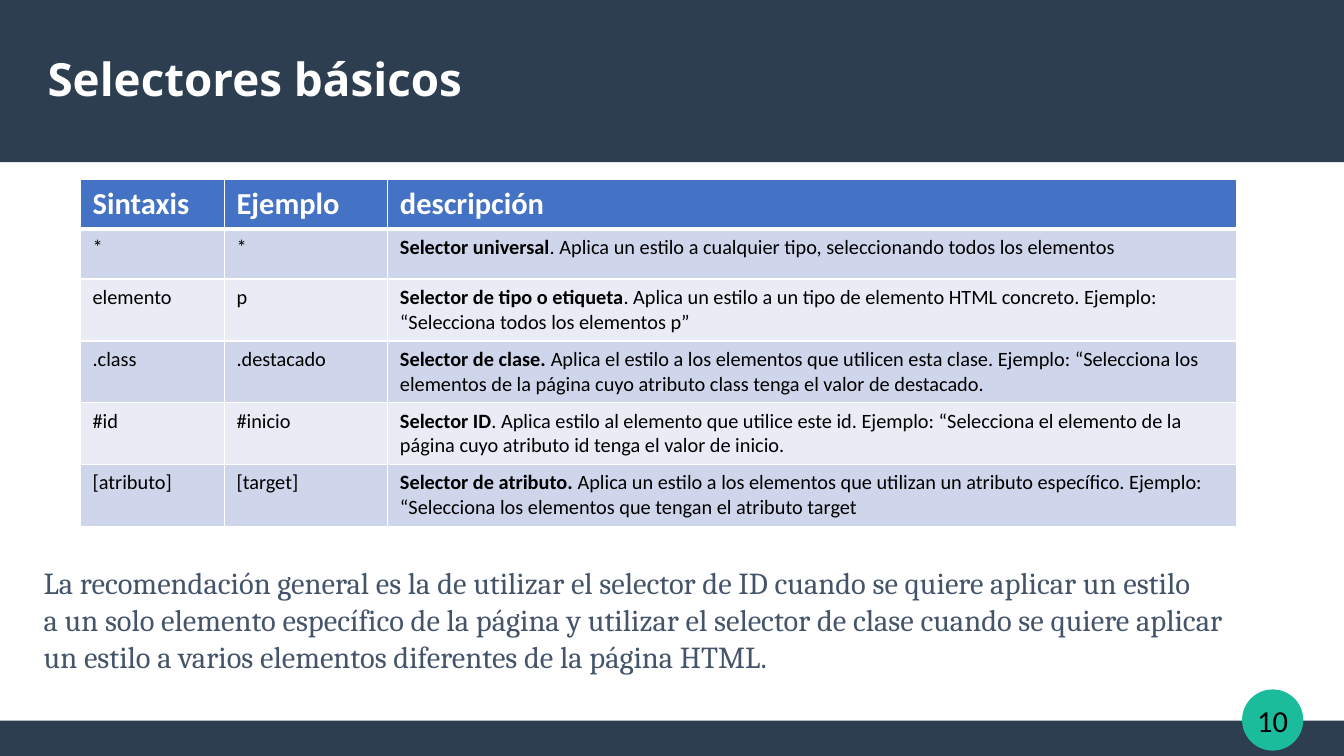
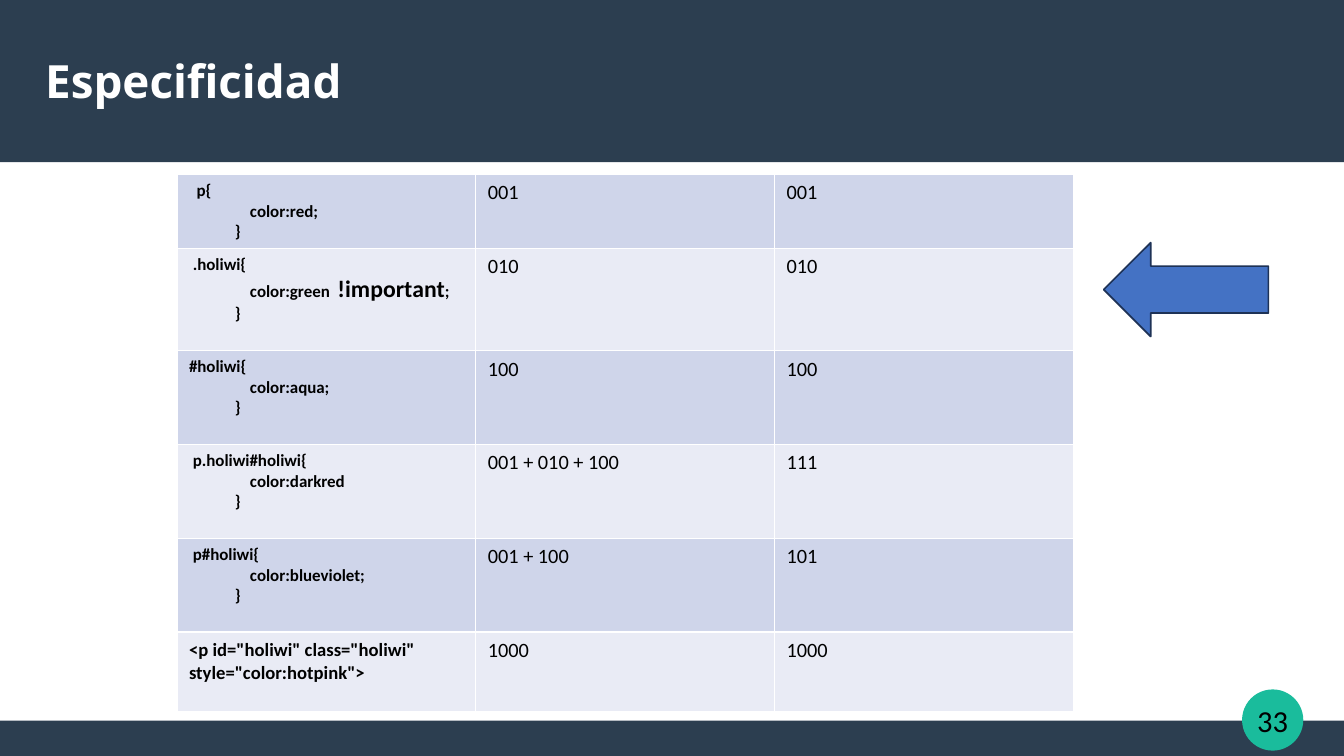
from lxml import etree
from pptx import Presentation
from pptx import util as u
from pptx.dml.color import RGBColor
from pptx.enum import shapes, text
from pptx.oxml import ns

WIDTH, HEIGHT = 11.02, 6.2
NAVY, TEAL, BLUE, EDGE = "2C3E50", "1ABC9C", "4472C4", "1E3256"
SLATE, WHITE, BLACK = "44546A", "FFFFFF", "000000"
STRIPES = ("CFD5EA", "E9EBF5")
BODY_FONT, TITLE_FONT, NOTE_FONT = "Calibri", "Noto Sans", "Cambria"


def rgb(value):
    return RGBColor.from_string(value)


def area(left, top, width, height):
    return [u.Inches(length) for length in (left, top, width, height)]


def cell_borders(cell, top=1, bottom=1):
    """Draw white borders, widths in points; call before filling the cell."""
    properties = cell._tc.get_or_add_tcPr()
    for side, width in (("L", 1), ("R", 1), ("T", top), ("B", bottom)):
        line = etree.SubElement(properties, ns.qn("a:ln" + side), w=str(u.Pt(width)))
        fill = etree.SubElement(line, ns.qn("a:solidFill"))
        etree.SubElement(fill, ns.qn("a:srgbClr"), val=WHITE)


class Deck:
    """Holds the shared style and the slide being built."""

    def __init__(self):
        self.deck = Presentation()
        self.deck.slide_width = u.Inches(WIDTH)
        self.deck.slide_height = u.Inches(HEIGHT)
        self.page = None

    def new_page(self, title, number, left, top):
        self.page = self.deck.slides.add_slide(self.deck.slide_layouts[5])
        self.shape("RECTANGLE", (0, 5.91, WIDTH, 0.29), NAVY)
        self.shape("RECTANGLE", (0, 0, WIDTH, 1.33), NAVY)
        badge = self.shape("OVAL", (10.19, 5.66, 0.49, 0.49), TEAL, TEAL, 0.85)
        self.frame(badge, wrap=False)
        self.add_lines(badge.text_frame, [[(str(number), 18, False)]],
                       align=text.PP_ALIGN.CENTER)

        box = self.page.shapes.title
        box.left, box.top, box.width, box.height = area(left, top, 10.24, 0.79)
        self.frame(box)
        self.add_lines(box.text_frame, [[(title, 27, True)]], WHITE, TITLE_FONT)
        self.page.shapes._spTree.append(box._element)  # in front of the band

    def shape(self, kind, place, fill, line=None, width=1):
        shape = self.page.shapes.add_shape(
            shapes.MSO_SHAPE[kind], *area(*place))
        shape.shadow.inherit = False
        shape.fill.solid()
        shape.fill.fore_color.rgb = rgb(fill)
        if line:
            shape.line.color.rgb = rgb(line)
            shape.line.width = u.Pt(width)
        else:
            shape.line.fill.background()
        return shape

    def frame(self, shape, wrap=True):
        """Centre the text vertically, without insets or autofit."""
        frame = shape.text_frame
        frame.margin_left = frame.margin_right = 0
        frame.margin_top = frame.margin_bottom = 0
        frame.vertical_anchor = text.MSO_ANCHOR.MIDDLE
        frame.auto_size = text.MSO_AUTO_SIZE.NONE
        frame.word_wrap = wrap

    def add_lines(self, frame, lines, color=BLACK, font=BODY_FONT,
                  align=text.PP_ALIGN.LEFT):
        """Each line is a paragraph: a list of (words, size, bold) runs."""
        for index, line in enumerate(lines):
            para = frame.add_paragraph() if index else frame.paragraphs[0]
            para.alignment = align
            for words, size, bold in line:
                span = para.add_run()
                span.text = words
                span.font.size = u.Pt(size)
                span.font.bold = bold
                span.font.name = font
                span.font.color.rgb = rgb(color)

    def note(self, place, lines):
        box = self.page.shapes.add_textbox(*area(*place))
        box.text_frame.word_wrap = True
        self.add_lines(box.text_frame, [[(line, 18, False)] for line in lines],
                       SLATE, NOTE_FONT)

    def table(self, left, top, widths, heights, rows, header=False):
        """Each cell of rows is a list of lines as add_lines() takes them."""
        table = self.page.shapes.add_table(
            len(heights), len(widths),
            *area(left, top, sum(widths), sum(heights))).table
        table.first_row = header
        for column, width in zip(table.columns, widths):
            column.width = u.Inches(width)
        for index, (row, height, contents) in enumerate(
                zip(table.rows, heights, rows)):
            row.height = u.Inches(height)
            heading = header and index == 0
            stripe = BLUE if heading else STRIPES[(index - header) % 2]
            for cell, lines in zip(row.cells, contents):
                cell_borders(cell, top=3 if header and index == 1 else 1,
                             bottom=3 if heading else 1)
                cell.fill.solid()
                cell.fill.fore_color.rgb = rgb(stripe)
                self.add_lines(cell.text_frame, lines, WHITE if heading else BLACK)


def plain(words):
    return [[(words, 12, False)]]


def rule(selector, *declaration):
    """Lines of a CSS rule; the declaration is given as (words, size) runs."""
    first, *others = declaration
    runs = [(" " * 16 + first[0], first[1]), *others]
    return [[(selector + "{", 10, True)],
            [(words, size, True) for words, size in runs],
            [(" " * 12 + "}", 10, True)]]


def basic_selectors(deck):
    deck.new_page("Selectores básicos", 10, 0.39, 0.25)
    selectors = [
        ("*", "*", "Selector universal",
         ". Aplica un estilo a cualquier tipo, seleccionando todos los elementos"),
        ("elemento", "p", "Selector de tipo o etiqueta",
         ". Aplica un estilo a un tipo de elemento HTML concreto. Ejemplo: "
         "“Selecciona todos los elementos p”"),
        (".class", ".destacado", "Selector de clase. ",
         "Aplica el estilo a los elementos que utilicen esta clase. Ejemplo: "
         "“Selecciona los elementos de la página cuyo atributo class tenga "
         "el valor de destacado."),
        ("#id", "#inicio", "Selector ID",
         ". Aplica estilo al elemento que utilice este id. Ejemplo: “Selecciona "
         "el elemento de la página cuyo atributo id tenga el valor de inicio."),
        ("[atributo]", "[target]", "Selector de atributo. ",
         "Aplica un estilo a los elementos que utilizan un atributo específico. "
         "Ejemplo: “Selecciona los elementos que tengan el atributo target"),
    ]
    rows = [[[[(name, 18, True)]] for name in ("Sintaxis", "Ejemplo", "descripción")]]
    rows += [[plain(syntax), plain(example), [[(name, 12, True), (meaning, 12, False)]]]
             for syntax, example, name, meaning in selectors]
    deck.table(0.66, 1.47, (1.18, 1.34, 6.96), [0.41] * 2 + [0.5] * 4, rows, header=True)
    deck.note((0.26, 4.58, 10.39, 1.01), [
        "La recomendación general es la de utilizar el selector de ID cuando "
        "se quiere aplicar un estilo",
        "a un solo elemento específico de la página y utilizar el selector de "
        "clase cuando se quiere aplicar",
        "un estilo a varios elementos diferentes de la página HTML.",
    ])


def specificity(deck):
    deck.new_page("Especificidad", 33, 0.37, 0.26)
    weights = [
        (rule("  p", ("color:red;", 10)), "001", "001"),
        (rule(" .holiwi", ("color:green  ", 10), ("!important", 14), (";", 10)),
         "010", "010"),
        (rule("#holiwi", ("color:aqua;", 10)), "100", "100"),
        (rule(" p.holiwi#holiwi", ("color:darkred", 10)), "001 + 010 + 100", "111"),
        (rule(" p#holiwi", ("color:blueviolet;", 10)), "001 + 100", "101"),
        ([[('<p id="holiwi" class="holiwi" style="color:hotpink">', 11, True)]],
         "1000", "1000"),
    ]
    rows = [[code, plain(addition), plain(total)] for code, addition, total in weights]
    deck.table(1.45, 1.43, [2.45] * 3, (0.6, 0.84, 0.77, 0.77, 0.77, 0.65), rows)
    deck.shape("LEFT_ARROW", (9.05, 1.99, 1.35, 0.77), BLUE, EDGE)


def main():
    deck = Deck()
    basic_selectors(deck)
    specificity(deck)
    deck.deck.save("out.pptx")


if __name__ == "__main__":
    main()
